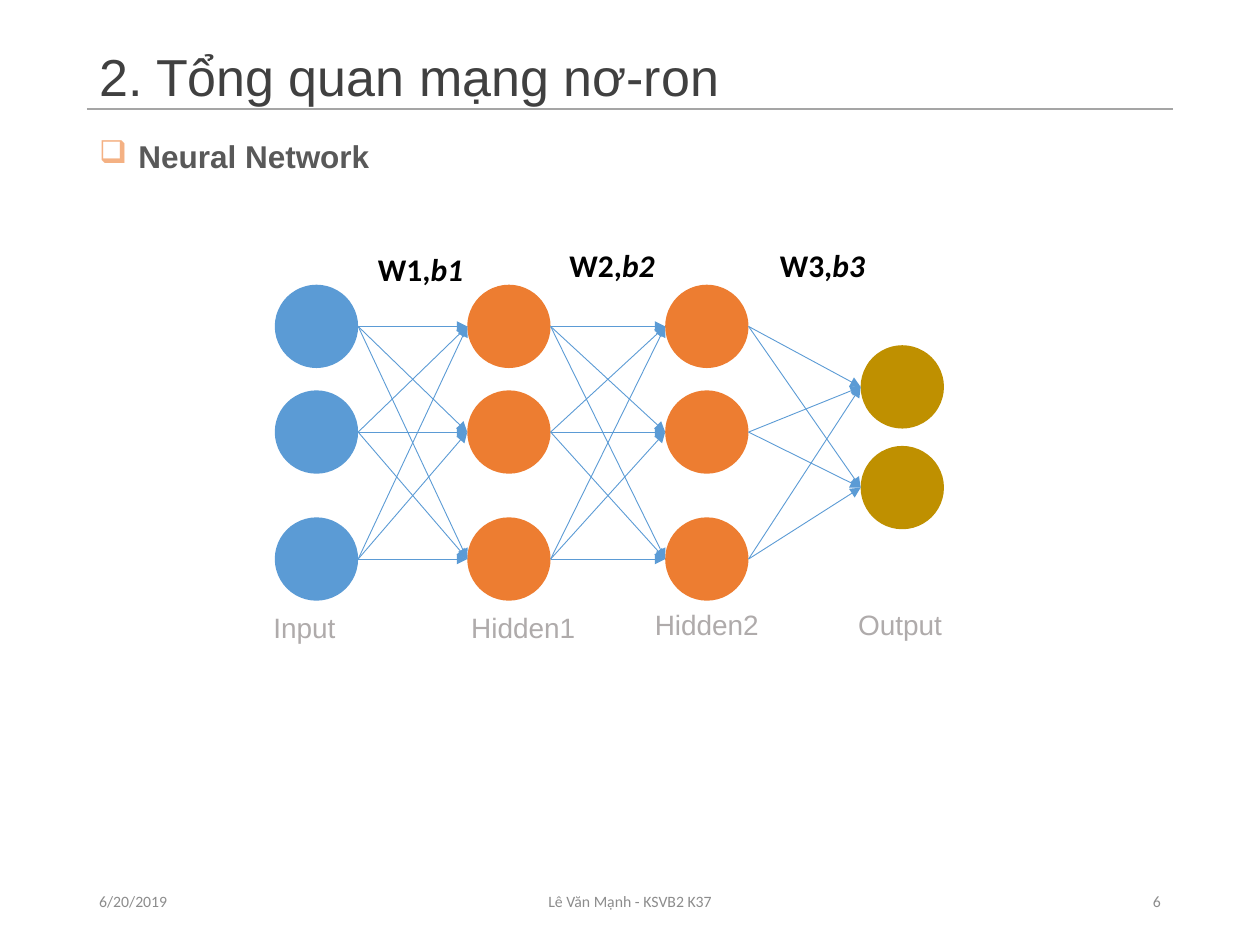
from itertools import product

from lxml.etree import SubElement
from pptx import Presentation
from pptx.dml.color import RGBColor
from pptx.enum.shapes import MSO_CONNECTOR, MSO_SHAPE
from pptx.enum.text import MSO_ANCHOR, PP_ALIGN
from pptx.oxml.ns import qn
from pptx.util import Cm, Pt

TITLE_GREY = RGBColor(0x40, 0x40, 0x40)
RULE_GREY = RGBColor(0xA5, 0xA5, 0xA5)
FOOTER_GREY = RGBColor(0x8C, 0x8C, 0x8C)
HEADING_GREY = RGBColor(0x59, 0x59, 0x59)
LABEL_GREY = RGBColor(0xAF, 0xAB, 0xAB)
BULLET_PEACH = RGBColor(0xF4, 0xB1, 0x83)
BLUE = RGBColor(0x5B, 0x9B, 0xD5)
ORANGE = RGBColor(0xED, 0x7D, 0x31)
GOLD = RGBColor(0xBF, 0x90, 0x00)
BLACK = RGBColor(0, 0, 0)

NODE_SIZE = 1.68
HIDDEN_ROWS = (0.91, 3.04, 5.6)
OUTPUT_ROWS = (2.13, 4.16)
LAYERS = (
    (0.28, HIDDEN_ROWS, BLUE),
    (4.16, HIDDEN_ROWS, ORANGE),
    (8.15, HIDDEN_ROWS, ORANGE),
    (12.09, OUTPUT_ROWS, GOLD),
)
LAYER_LABELS = (
    ("Input", 0, 7.36, 2.18),
    ("Hidden1", 3.99, 7.36, 2.62),
    ("Hidden2", 7.69, 7.29, 2.62),
    ("Output", 11.79, 7.29, 2.24),
)
WEIGHT_LABELS = (
    ("W1,", "b1", 2.11, 0.08),
    ("W2,", "b2", 5.97, 0),
    ("W3,", "b3", 10.21, 0),
)


def add_text(slide, box, runs, size, color, font="Arial", bold=False,
             align=PP_ALIGN.LEFT, anchor=MSO_ANCHOR.TOP, wrap=True):
    """Place a one-paragraph text box and return its paragraph."""
    frame = slide.shapes.add_textbox(*map(Cm, box)).text_frame
    frame.word_wrap = wrap
    frame.vertical_anchor = anchor
    paragraph = frame.paragraphs[0]
    paragraph.alignment = align
    for words in runs:
        paragraph.add_run().text = words
    paragraph.font.size = Pt(size)
    paragraph.font.name = font
    paragraph.font.bold = bold
    paragraph.font.color.rgb = color
    return paragraph


def add_line(slide, start, end, color, width, arrow=False):
    """Draw a straight line, with an arrowhead at its end if asked."""
    line = slide.shapes.add_connector(
        MSO_CONNECTOR.STRAIGHT, *map(Cm, (*start, *end)))
    line.line.color.rgb = color
    line.line.width = Pt(width)
    if arrow:
        SubElement(line.line._get_or_add_ln(), qn("a:tailEnd"), type="triangle")
    SubElement(line._element.spPr, qn("a:effectLst"))


def add_header(slide, left, top, width):
    """Place the title and the rule under it."""
    title = add_text(slide, (left, top, width, 1.17), ["2. Tổng quan mạng nơ-ron"],
                     29.7, TITLE_GREY, anchor=MSO_ANCHOR.MIDDLE)
    title.line_spacing = 0.9
    rule_top = top + 1.17
    add_line(slide, (left, rule_top), (left + width, rule_top), RULE_GREY, 1)


def add_heading(slide, left, top):
    """Place the heading with its square bullet."""
    heading = add_text(slide, (left, top, 6.02, 1.02), ["Neural Network"],
                       18, HEADING_GREY, bold=True, wrap=False)
    properties = heading._p.get_or_add_pPr()
    properties.set("marL", str(Cm(0.79)))
    properties.set("indent", str(-Cm(0.79)))
    bullet_color = SubElement(properties, qn("a:buClr"))
    SubElement(bullet_color, qn("a:srgbClr"), val=str(BULLET_PEACH))
    SubElement(properties, qn("a:buChar"), char="❑")
    properties.append(properties.find(qn("a:defRPr")))


def add_network(slide, left, top):
    """Draw the layers, the arrows between them and their labels."""
    for x, rows, color in LAYERS:
        for y in rows:
            node = slide.shapes.add_shape(
                MSO_SHAPE.FLOWCHART_CONNECTOR, Cm(left + x), Cm(top + y),
                Cm(NODE_SIZE), Cm(NODE_SIZE))
            node.shadow.inherit = False
            node.fill.solid()
            node.fill.fore_color.rgb = color
            node.line.fill.background()

    radius = NODE_SIZE / 2
    for (x, rows, _), (next_x, next_rows, _) in zip(LAYERS, LAYERS[1:]):
        for y, next_y in product(rows, next_rows):
            add_line(slide, (left + x + NODE_SIZE, top + y + radius),
                     (left + next_x, top + next_y + radius), BLUE, 0.5, arrow=True)

    for name, x, y, width in LAYER_LABELS:
        add_text(slide, (left + x, top + y, width, 0.94), [name],
                 16, LABEL_GREY, wrap=False)

    for weight, bias, x, y in WEIGHT_LABELS:
        label = add_text(slide, (left + x, top + y, 2.26, 1.02), [weight, bias],
                         18, BLACK, font="Calibri", bold=True, wrap=False)
        label.runs[1].font.italic = True


def add_footer(slide, left, top, width):
    """Place the date, the author and the page number."""
    side, middle = 5.72, 8.58
    parts = (
        ("6/20/2019", 0, side, PP_ALIGN.LEFT),
        ("Lê Văn Mạnh - KSVB2 K37", (width - middle) / 2, middle, PP_ALIGN.CENTER),
        ("6", width - side, side, PP_ALIGN.RIGHT),
    )
    for words, x, part_width, align in parts:
        add_text(slide, (left + x, top, part_width, 1.02), [words], 9, FOOTER_GREY,
                 font="Calibri", align=align, anchor=MSO_ANCHOR.MIDDLE)


def main():
    """Build the slide and save it."""
    presentation = Presentation()
    presentation.slide_width = Cm(25.4)
    presentation.slide_height = Cm(19.05)
    slide = presentation.slides.add_slide(presentation.slide_layouts[6])
    margin, content_width = 1.75, 21.9
    add_header(slide, margin, 1.02, content_width)
    add_heading(slide, margin, 2.64)
    add_network(slide, 5.26, 4.83)
    add_footer(slide, margin, 17.65, content_width)
    presentation.save("out.pptx")


if __name__ == "__main__":
    main()
